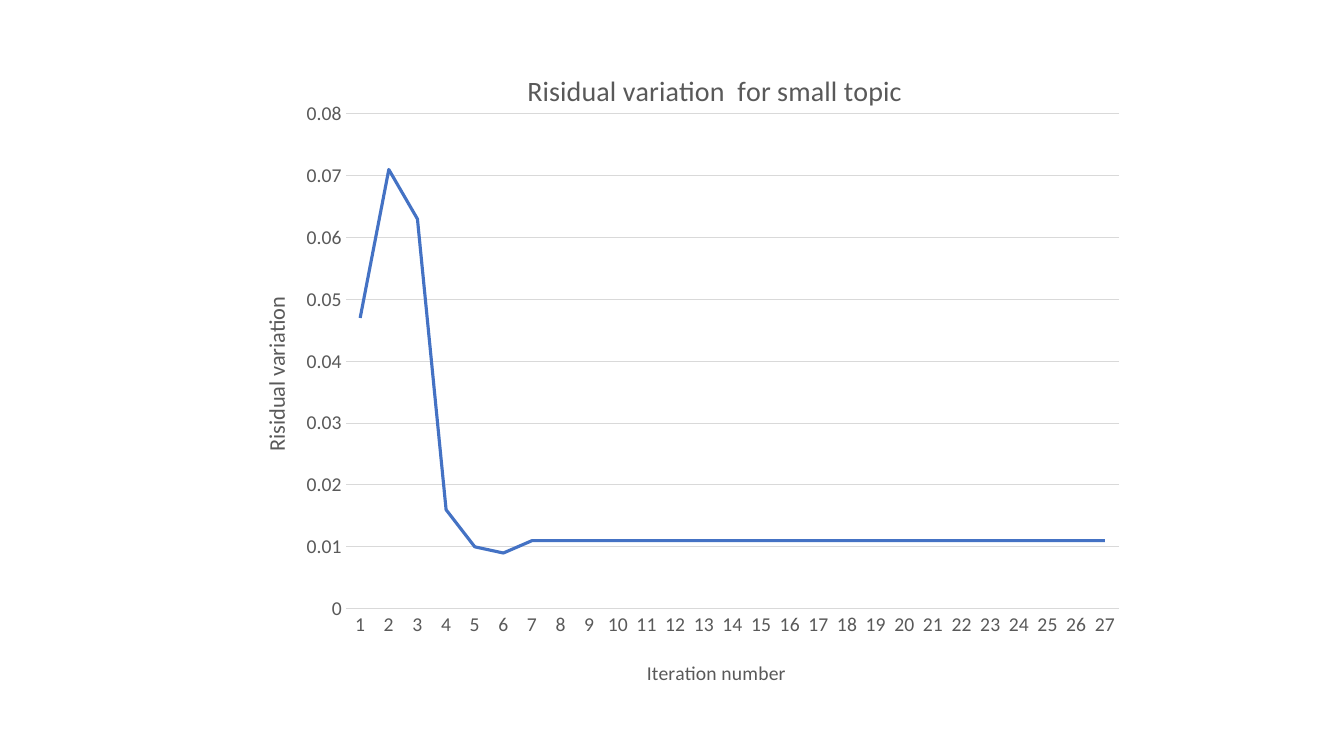
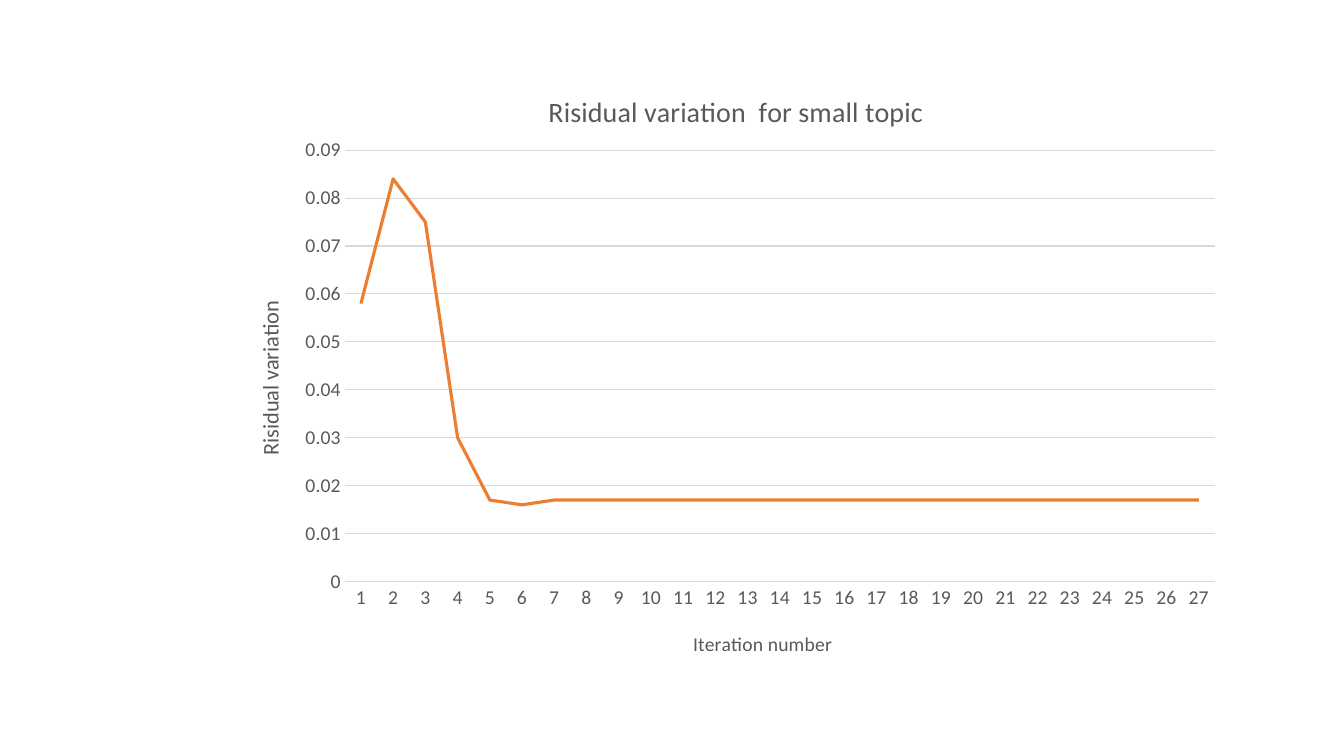
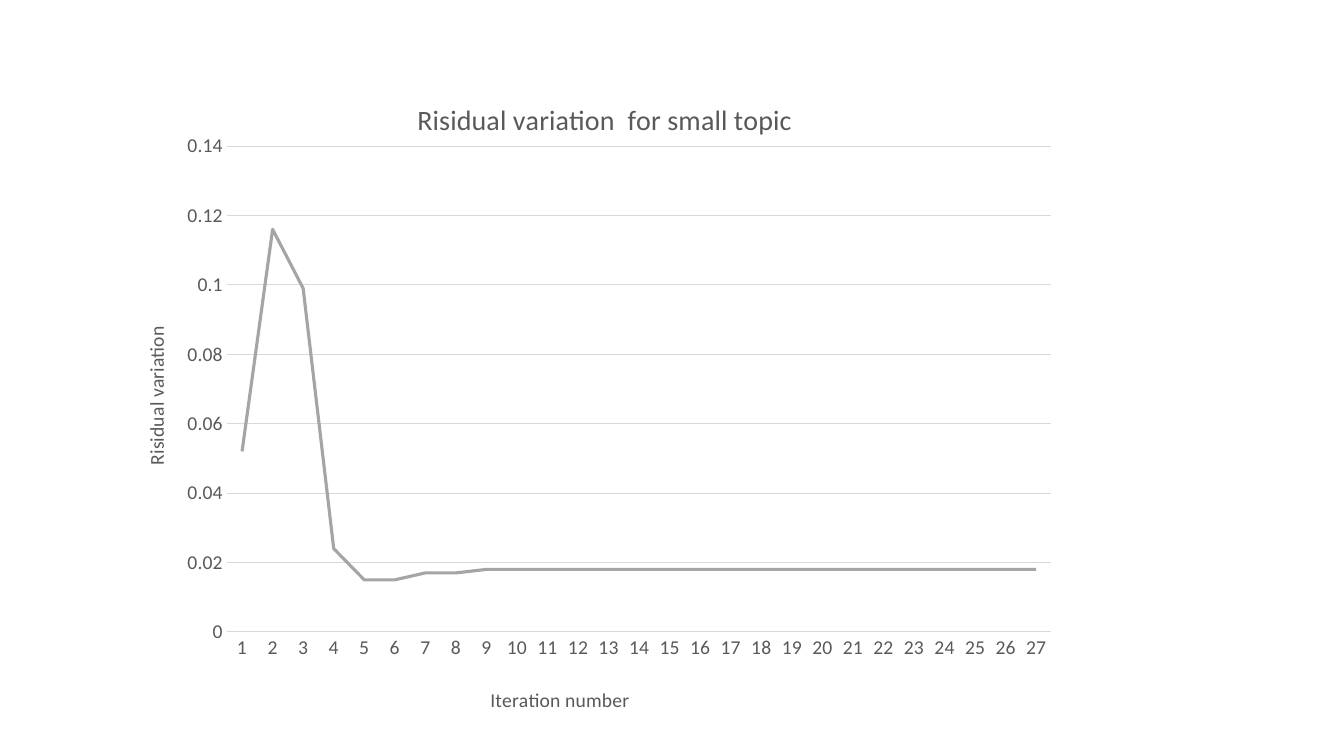
from pptx import Presentation
from pptx.chart.data import CategoryChartData
from pptx.dml.color import RGBColor
from pptx.enum import chart as ch
from pptx.oxml import parse_xml
from pptx.oxml.ns import nsdecls, qn
from pptx.util import Inches, Pt

COLORS = {
    "text": "595959",
    "rule": "D9D9D9",
    "blue": "4472C4",
    "orange": "ED7D31",
    "gray": "A5A5A5",
}
FONT = "Calibri"
ITERATIONS = 27
HEADING = "Risidual variation  for small topic"
X_LABEL = "Iteration number"
Y_LABEL = "Risidual variation"

# Boxes are in inches; positions inside a chart are measured from its corner.
TOPICS = [
    dict(box=(2.49, 0.41, 9.1, 6.53), plot=(0.94, 0.72, 7.67, 4.91),
         heading_at=(2.69, 0.24), x_label_at=(3.89, 6.1), y_label_at=(0.06, 2.5),
         y_label_size=16, color="blue", top=0.08, step=0.01,
         residuals=[0.047, 0.071, 0.063, 0.016, 0.01, 0.009, 0.011]),
    dict(box=(2.25, 0.63, 10, 6.04), plot=(1.17, 0.86, 8.63, 4.28),
         heading_at=(3.14, 0.23), x_label_at=(4.59, 5.59), y_label_at=(0.24, 2.32),
         y_label_size=16, color="orange", top=0.09, step=0.01,
         residuals=[0.058, 0.084, 0.075, 0.03, 0.017, 0.016, 0.017]),
    dict(box=(1.15, 0.8, 9.44, 6.37), plot=(1.1, 0.65, 8.18, 4.82),
         heading_at=(2.94, 0.14), x_label_at=(3.68, 5.97), y_label_at=(0.23, 2.4),
         y_label_size=14, color="gray", top=0.14, step=0.02,
         residuals=[0.052, 0.116, 0.099, 0.024, 0.015, 0.015, 0.017, 0.017, 0.018]),
]


def rgb(name):
    return RGBColor.from_string(COLORS[name])


def format_font(font, size):
    font.name = FONT
    font.size = Pt(size)
    font.bold = False
    font.color.rgb = rgb("text")


def write(title, content, size, rotation=0):
    """Fill a chart or axis title; rotation is in degrees."""
    frame = title.text_frame
    run = frame.paragraphs[0].add_run()
    run.text = content
    format_font(run.font, size)
    if rotation:
        body = title.element.find(".//" + qn("a:bodyPr"))
        body.set("rot", str(rotation * 60000))
        body.set("vert", "horz")


def place(element, chart_size, at, inner=False):
    """Lay out a title or plot area at inches from the chart's corner."""
    old = element.find(qn("c:layout"))
    if old is not None:
        element.remove(old)
    fractions = [inches / chart_size[i % 2] for i, inches in enumerate(at)]
    target = '<c:layoutTarget val="inner"/>' if inner else ""
    modes = '<c:xMode val="edge"/><c:yMode val="edge"/>'
    values = "".join(f'<c:{key} val="{value:.4f}"/>'
                     for key, value in zip("xywh", fractions))
    layout = parse_xml(f'<c:layout {nsdecls("c")}><c:manualLayout>{target}{modes}'
                       f'{values}</c:manualLayout></c:layout>')
    words = element.find(qn("c:tx"))
    if words is None:
        element.insert(0, layout)
    else:
        words.addnext(layout)


def style_axes(chart, top, step):
    iterations, variation = chart.category_axis, chart.value_axis
    for axis in (iterations, variation):
        axis.major_tick_mark = axis.minor_tick_mark = ch.XL_TICK_MARK.NONE
        format_font(axis.tick_labels.font, 14)
    iterations.format.line.color.rgb = rgb("rule")
    iterations.format.line.width = Pt(0.75)
    variation.format.line.fill.background()
    variation.minimum_scale = 0
    variation.maximum_scale = top
    variation.major_unit = step
    variation.has_major_gridlines = True
    grid = variation.major_gridlines.format.line
    grid.color.rgb = rgb("rule")
    grid.width = Pt(0.75)


def add_residual_chart(slide, box, plot, heading_at, x_label_at, y_label_at,
                       y_label_size, color, top, step, residuals):
    data = CategoryChartData()
    data.categories = [str(n) for n in range(1, ITERATIONS + 1)]
    settled = [residuals[-1]] * (ITERATIONS - len(residuals))
    data.add_series("Series 1", residuals + settled)
    chart = slide.shapes.add_chart(ch.XL_CHART_TYPE.LINE,
                                   *map(Inches, box), data).chart
    chart.has_legend = False
    format_font(chart.font, 10)
    style_axes(chart, top, step)

    chart.plots[0].vary_by_categories = False
    curve = chart.plots[0].series[0]
    curve.smooth = False
    curve.marker.style = ch.XL_MARKER_STYLE.NONE
    curve.format.line.color.rgb = rgb(color)
    curve.format.line.width = Pt(2.25)

    chart.has_title = True
    labels = [
        (chart.chart_title, HEADING, 20, 0, heading_at),
        (chart.category_axis.axis_title, X_LABEL, 14, 0, x_label_at),
        (chart.value_axis.axis_title, Y_LABEL, y_label_size, -90, y_label_at),
    ]
    for title, content, size, rotation, at in labels:
        write(title, content, size, rotation)
        place(title.element, box[2:], at)
    place(chart.element.chart.plotArea, box[2:], plot, inner=True)


def main():
    deck = Presentation()
    deck.slide_width, deck.slide_height = Inches(13.33), Inches(7.5)
    blank = deck.slide_layouts[6]
    for topic in TOPICS:
        add_residual_chart(deck.slides.add_slide(blank), **topic)
    deck.save("out.pptx")


if __name__ == "__main__":
    main()
